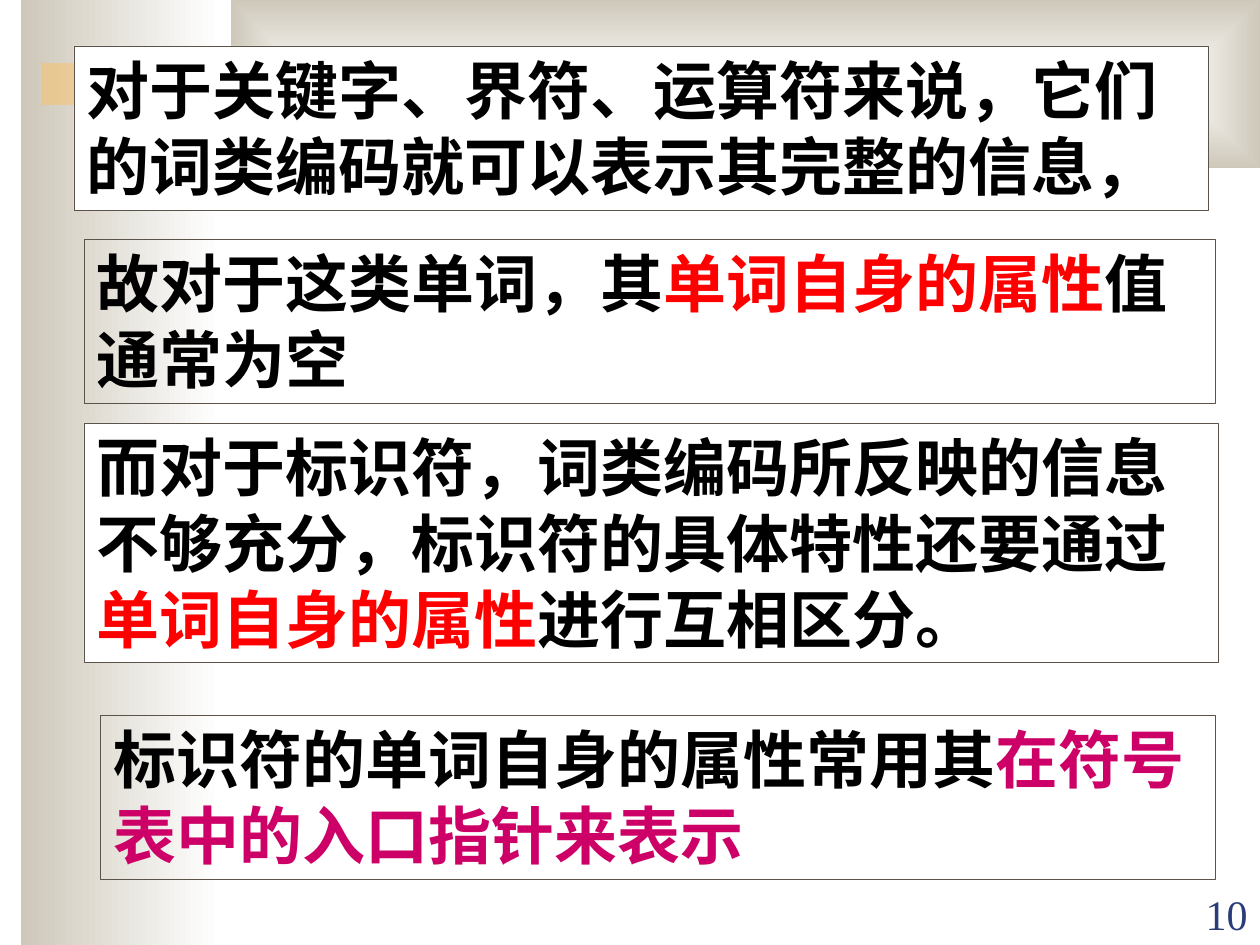
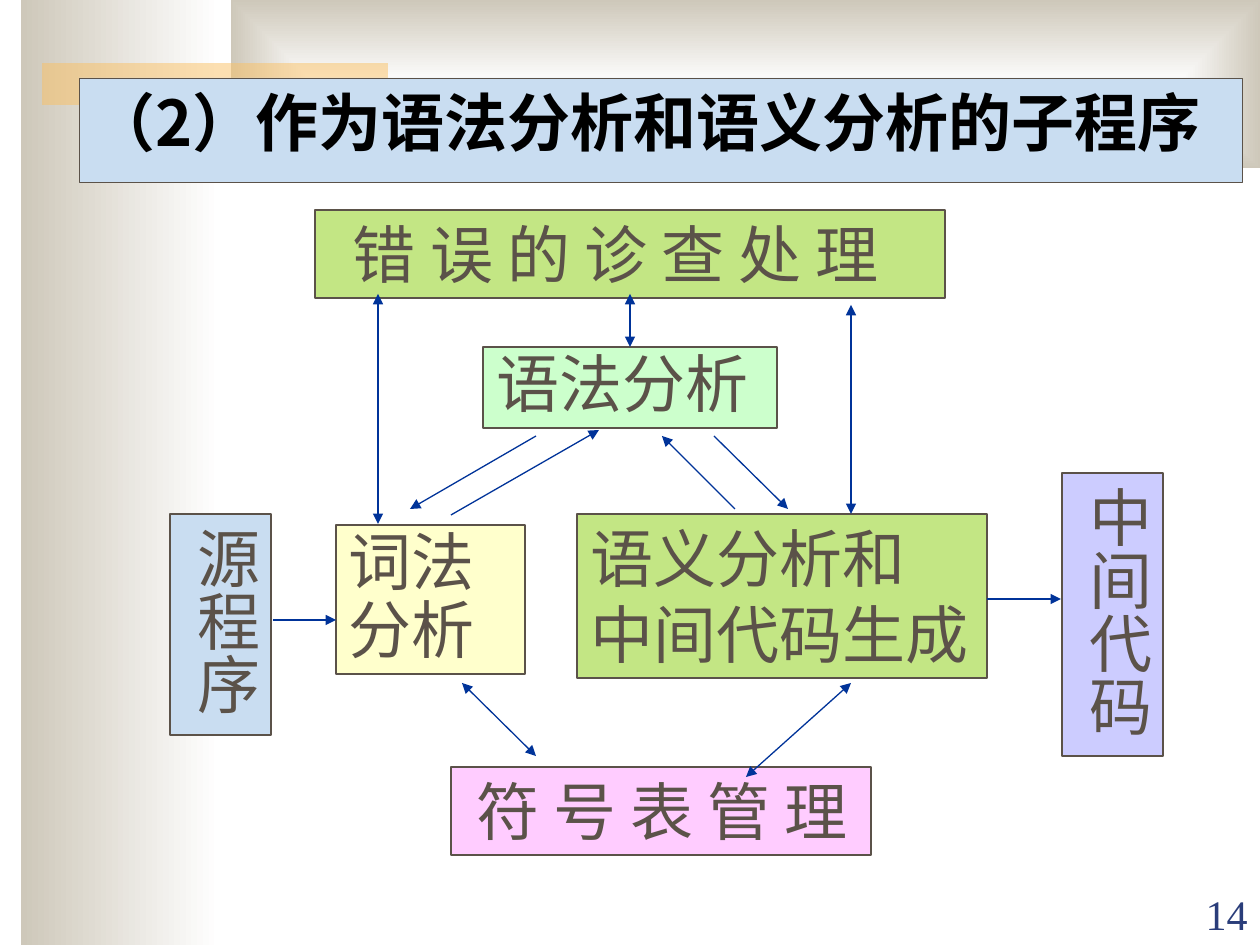
from dataclasses import dataclass
from typing import Optional

import pptx
import pptx.dml.color
import pptx.enum.dml
import pptx.enum.shapes
import pptx.enum.text
import pptx.oxml
import pptx.oxml.ns
import pptx.util

SCALE = 914400 / 126  # EMU per px
SERIF = "Times New Roman"
SANS = "Noto Sans CJK JP"
COLORS = {
    "white": "FFFFFF", "black": "000000", "red": "FF0000", "magenta": "CC0066",
    "sand": "CEC8BA", "amber": "FAC164", "brown": "5B5249", "navy": "2A3D7A",
    "arrow": "003399", "yellow": "FFFFCC", "mint": "CCFFCC", "green": "C3E684",
    "sky": "C9DDF1", "lilac": "CCCCFF", "pink": "FFCCFF",
}
ANCHOR = pptx.enum.text.MSO_ANCHOR
ALIGN = pptx.enum.text.PP_ALIGN
RECT = pptx.enum.shapes.MSO_SHAPE.RECTANGLE


@dataclass
class Box:
    """A framed text box; each paragraph is a list of (text, colour) runs."""
    x: int
    y: int
    w: int
    h: int
    paragraphs: list
    fill: Optional[str] = None
    border: float = 0.75
    font: str = SERIF
    bold: bool = False
    spacing: Optional[float] = None
    indent: int = 0
    vertical: bool = False


@dataclass
class Arrow:
    x1: int
    y1: int
    x2: int
    y2: int
    both: bool = False


def px(n: float):
    return pptx.util.Emu(round(n * SCALE))


def rgb(name: str):
    return pptx.dml.color.RGBColor.from_string(COLORS[name])


def element(tag: str, **attributes: str):
    e = pptx.oxml.parse_xml(f"<{tag} {pptx.oxml.ns.nsdecls('a')}/>")
    for key, value in attributes.items():
        e.set(key, value)
    return e


def add_run(p, text: str, color: str, size: int = 36, font: str = SERIF, bold: bool = False) -> None:
    r = p.add_run()
    r.text = text
    r.font.size = pptx.util.Pt(size)
    r.font.bold = bold
    r.font.color.rgb = rgb(color)
    r.font.name = font
    r.font._element.append(element("a:ea", typeface=SANS))


def add_rect(s, x: int, y: int, w: int, h: int):
    sp = s.shapes.add_shape(RECT, px(x), px(y), px(w), px(h))
    sp.shadow.inherit = False
    return sp


def format_box(sp, box: Box) -> None:
    if box.fill:
        sp.fill.solid()
        sp.fill.fore_color.rgb = rgb(box.fill)
    else:
        sp.fill.background()
    sp.line.color.rgb = rgb("brown")
    sp.line.width = pptx.util.Pt(box.border)
    tf = sp.text_frame
    tf.word_wrap = True
    tf.auto_size = pptx.enum.text.MSO_AUTO_SIZE.SHAPE_TO_FIT_TEXT
    tf.vertical_anchor = ANCHOR.TOP
    side, top = (6, 13) if box.vertical else (13, 6)
    tf.margin_left, tf.margin_right = px(side + box.indent), px(side)
    tf.margin_top = tf.margin_bottom = px(top)
    if box.vertical:
        tf._txBody.bodyPr.set("vert", "eaVert")
    for i, runs in enumerate(box.paragraphs):
        p = tf.add_paragraph() if i else tf.paragraphs[0]
        p.alignment = ALIGN.LEFT
        if box.spacing:
            p.line_spacing = box.spacing
        for text, color in runs:
            add_run(p, text, color, font=box.font, bold=box.bold)


def add_box(s, box: Box) -> None:
    format_box(add_rect(s, box.x, box.y, box.w, box.h), box)


def add_title(s, box: Box) -> None:
    sp = s.shapes.title
    sp.left, sp.top, sp.width, sp.height = px(box.x), px(box.y), px(box.w), px(box.h)
    format_box(sp, box)
    sp.text_frame.margin_right = 0  # keeps the long title on one line


def add_arrow(s, a: Arrow) -> None:
    c = s.shapes.add_connector(pptx.enum.shapes.MSO_CONNECTOR.STRAIGHT,
                               px(a.x1), px(a.y1), px(a.x2), px(a.y2))
    c.line.color.rgb = rgb("arrow")
    c.line.width = pptx.util.Pt(0.75)
    ln = c.line._get_or_add_ln()
    if a.both:
        ln.append(element("a:headEnd", type="triangle"))
    ln.append(element("a:tailEnd", type="triangle"))
    c._element.spPr.append(element("a:effectLst"))


def add_number(s, number: int) -> None:
    tf = s.shapes.add_textbox(px(1134), px(883), px(126), px(62)).text_frame
    tf.word_wrap = True
    tf.vertical_anchor = ANCHOR.BOTTOM
    p = tf.paragraphs[0]
    p.alignment = ALIGN.RIGHT
    add_run(p, str(number), "navy", size=24)


def build_master(prs, s) -> None:
    """Draw the bands on a slide, then move them to the master."""
    side = add_rect(s, 21, 0, 199, 945)
    top = add_rect(s, 231, 0, 1029, 168)
    for band in (side, top):
        band.fill.gradient()
        for stop, color in zip(band.fill.gradient_stops, ("white", "sand")):
            stop.color.rgb = rgb(color)
    side.fill.gradient_angle = 180

    # The top band shades from its centre to its edges
    lin = top._element.spPr.find(".//" + pptx.oxml.ns.qn("a:lin"))
    shade = element("a:path", path="rect")
    shade.append(element("a:fillToRect", l="50000", t="50000", r="50000", b="50000"))
    lin.getparent().replace(lin, shade)

    tab = add_rect(s, 42, 63, 346, 42)
    tab.fill.solid()
    tab.fill.fore_color.rgb = rgb("amber")
    color = tab._element.spPr.find(".//" + pptx.oxml.ns.qn("a:srgbClr"))
    color.append(element("a:alpha", val="50000"))

    tree = prs.slide_master.shapes.element
    for i, sp in enumerate((side, top, tab)):
        sp.line.fill.background()
        sp._element.nvSpPr.cNvPr.set("id", str(101 + i))
        tree.insert(2 + i, sp._element)


def attributes_slide(s) -> None:
    common = {"border": 0.25, "bold": True}
    boxes = [
        Box(74, 46, 1134, 164, [[
            ("对于关键字、界符、运算符来说，它们的词类编码就可以表示其完整的信息，", "black")]],
            "white", **common),
        Box(84, 423, 1134, 239, [[
            ("而对于标识符，词类编码所反映的信息不够充分，标识符的具体特性还要通过", "black"),
            ("单词自身的属性", "red"), ("进行互相区分。", "black")]],
            "white", **common),
        Box(100, 715, 1115, 164, [[
            ("标识符的单词自身的属性常用其", "black"),
            ("在符号表中的入口指针来表示", "magenta")]], **common),
        Box(84, 239, 1131, 164, [[
            ("故对于这类单词，其", "black"), ("单词自身的属性", "red"),
            ("值通常为空", "black")]], **common),
    ]
    for box in boxes:
        add_box(s, box)
    add_number(s, 10)


def subroutine_slide(s) -> None:
    add_title(s, Box(79, 78, 1163, 88, [[("（2）作为语法分析和语义分析的子程序", "black")]],
                     "sky", border=0.25, font=SANS, bold=True))

    # Compiler stages
    def lines(*texts: str) -> list:
        return [[(text, "brown")] for text in texts]

    stages = [
        Box(336, 525, 189, 149, lines("词法", "分析"), "yellow", spacing=0.9),
        Box(483, 347, 294, 81, lines("语法分析"), "mint", spacing=0.9),
        Box(577, 514, 410, 164, lines("语义分析和", "中间代码生成"), "green"),
        Box(170, 514, 101, 221, lines("源程序"), "sky", vertical=True),
        Box(1062, 473, 101, 283, lines("中间代码"), "lilac", vertical=True),
        Box(451, 767, 420, 88, lines("符 号 表 管 理"), "pink", font=SANS, indent=12),
        Box(315, 210, 630, 88, lines("错 误 的 诊 查 处 理"), "green", font=SANS, indent=25),
    ]
    for stage in stages:
        add_box(s, stage)

    # Data flow between the stages
    flows = [
        Arrow(273, 620, 336, 620),
        Arrow(987, 599, 1061, 599),
        Arrow(536, 436, 410, 509),
        Arrow(451, 515, 599, 430),
        Arrow(714, 436, 788, 509),
        Arrow(735, 509, 662, 436),
        Arrow(462, 683, 536, 756, both=True),
        Arrow(851, 683, 746, 777, both=True),
        Arrow(378, 294, 378, 524, both=True),
        Arrow(630, 294, 630, 347, both=True),
        Arrow(851, 305, 851, 514, both=True),
    ]
    for flow in flows:
        add_arrow(s, flow)
    add_number(s, 14)


def main() -> None:
    prs = pptx.Presentation()
    prs.slide_width, prs.slide_height = px(1260), px(945)
    title_only, blank = prs.slide_layouts[5], prs.slide_layouts[6]
    s = prs.slides.add_slide(blank)
    build_master(prs, s)
    attributes_slide(s)
    subroutine_slide(prs.slides.add_slide(title_only))
    prs.save("out.pptx")


if __name__ == "__main__":
    main()
